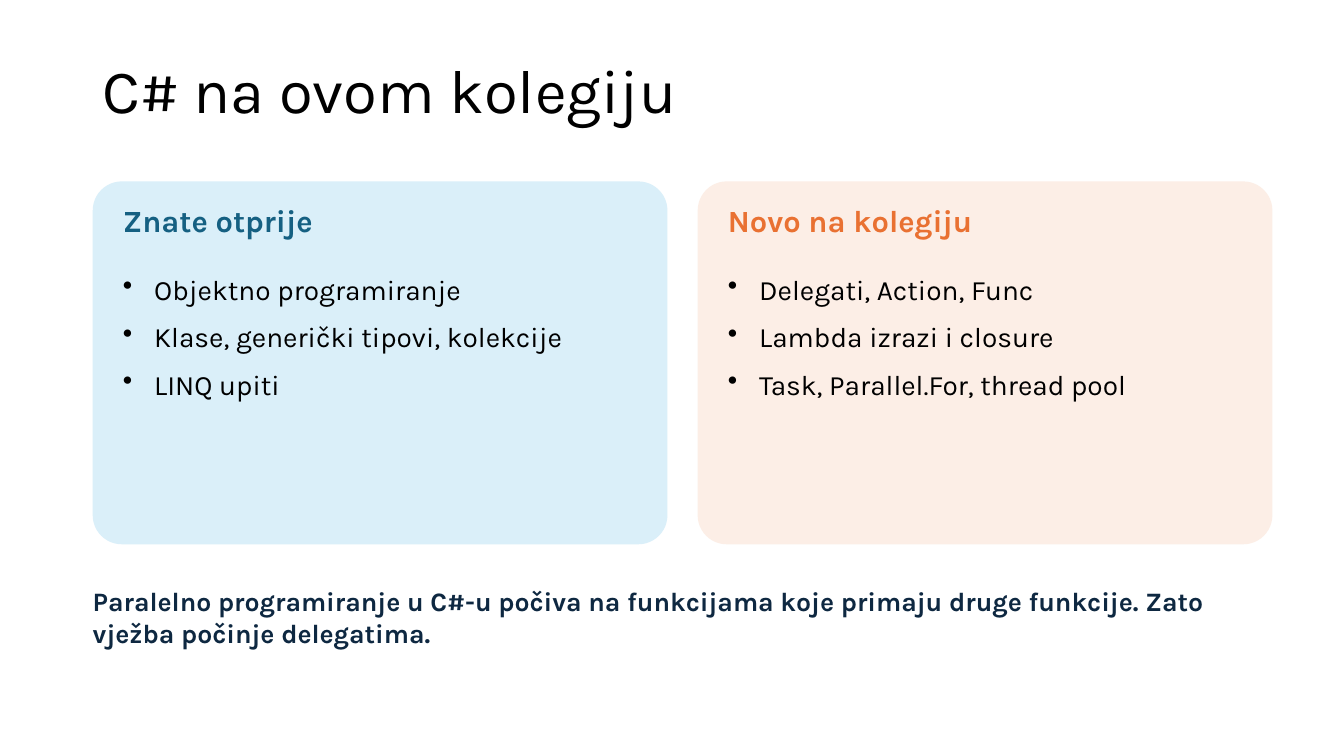
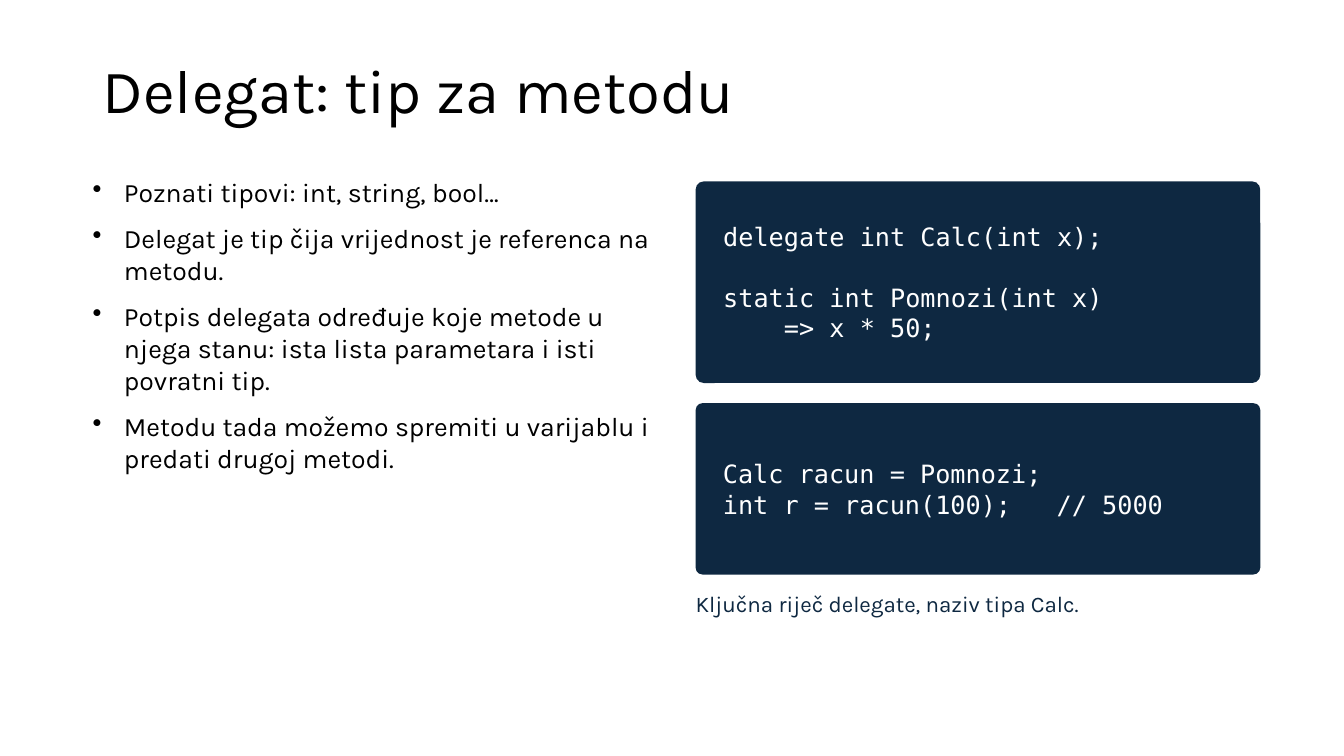
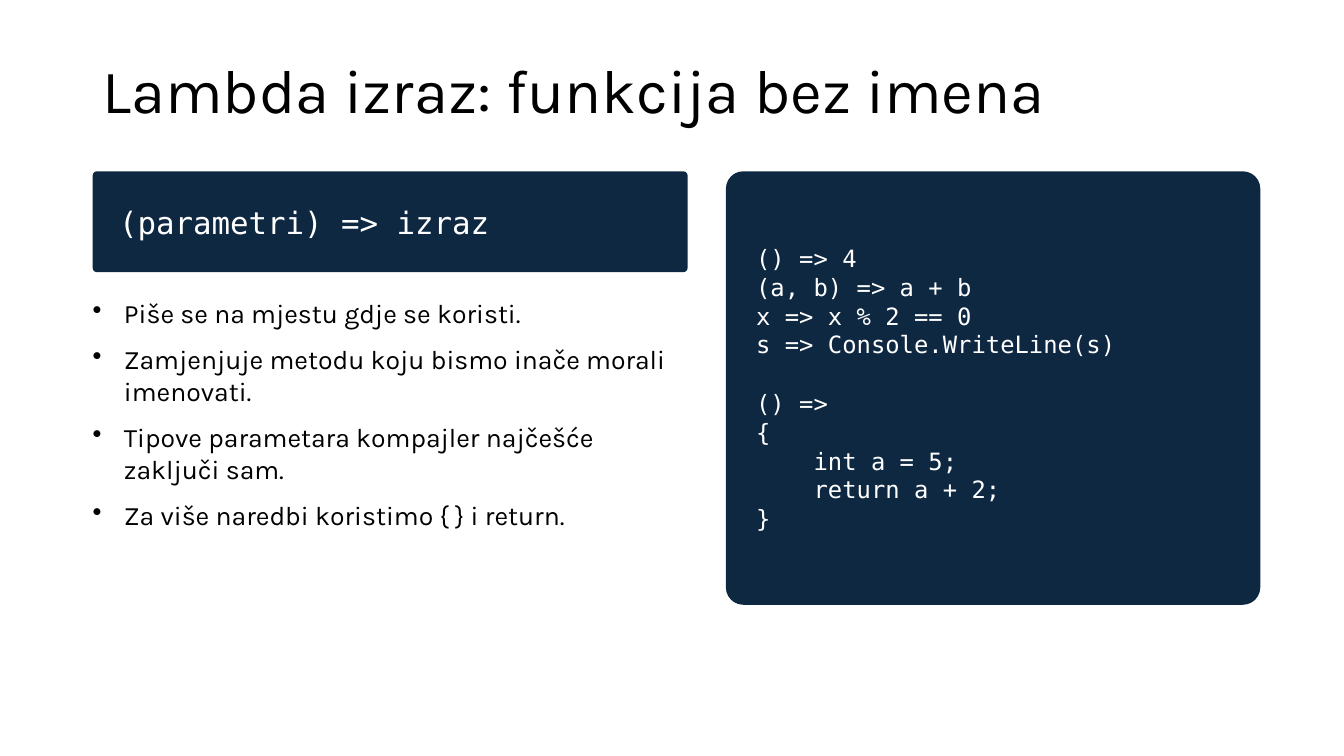
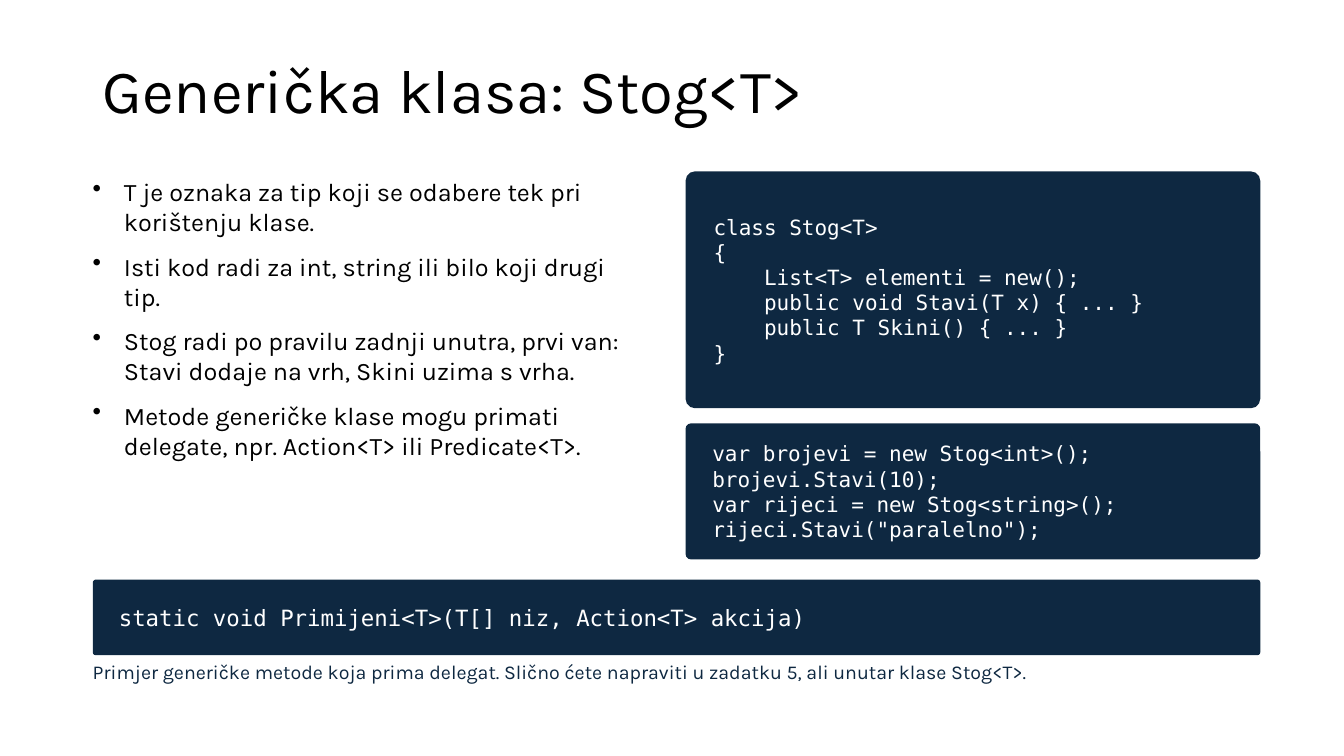
from dataclasses import dataclass

from lxml.etree import SubElement
from pptx import Presentation
from pptx.dml.color import RGBColor
from pptx.enum.shapes import MSO_SHAPE as Shape
from pptx.enum.text import MSO_ANCHOR as Anchor, PP_ALIGN as Align
from pptx.oxml.ns import qn
from pptx.util import Inches, Pt


@dataclass(frozen=True)
class Theme:
    # Fonts
    body_font: str = "Karla"
    code_font: str = "DejaVu Sans Mono"
    # Colours
    black: str = "000000"
    white: str = "FFFFFF"
    navy: str = "0E2841"
    teal: str = "156082"
    orange: str = "E97132"
    pale_blue: str = "DAEFF9"
    pale_orange: str = "FCEEE6"
    # Type sizes in points
    title: int = 44
    heading: int = 22
    card: int = 20
    body: int = 19
    small_body: int = 18
    caption: int = 16
    small_caption: int = 14
    syntax: int = 22
    code: int = 18
    long_code: int = 17
    small_code: int = 15
    signature: int = 16
    # Paragraph spacing in points
    bullet_gap: int = 10
    code_gap: int = 22


@dataclass(frozen=True)
class Box:
    left: float
    top: float
    width: float
    height: float

    def inches(self):
        return [Inches(n) for n in (self.left, self.top, self.width, self.height)]

    def inset(self, side, top, height):
        return Box(self.left + side, self.top + top, self.width - 2 * side, height)


THEME = Theme()
MARGIN = 0.92
INDENT = 0.31
TITLE_BOX = Box(MARGIN, 0.4, 11.5, 1.06)
NO_INSETS = (0, 0, 0, 0)
TITLE_INSETS = (0.1, 0.05, 0.1, 0.05)
CODE_INSETS = (0.25, 0.05, 0.1, 0.05)


def set_all(target, formats):
    for name, value in formats.items():
        setattr(target, name, value)


def prepare_frame(shape, insets, anchor):
    left, top, right, bottom = (Inches(n) for n in insets)
    set_all(shape.text_frame, {
        "word_wrap": True, "vertical_anchor": anchor,
        "margin_left": left, "margin_top": top,
        "margin_right": right, "margin_bottom": bottom,
    })
    return shape.text_frame


def add_para(frame, is_first, text, size, color, font=THEME.body_font, bold=False):
    para = frame.paragraphs[0] if is_first else frame.add_paragraph()
    para.alignment = Align.LEFT
    span = para.add_run()
    span.text = text
    set_all(span.font, {"name": font, "size": Pt(size), "bold": bold})
    span.font.color.rgb = RGBColor.from_string(color)
    return para


def add_text(page, box, text, size, color, bold=False,
             insets=NO_INSETS, anchor=Anchor.TOP):
    frame = prepare_frame(page.shapes.add_textbox(*box.inches()), insets, anchor)
    return add_para(frame, True, text, size, color, bold=bold)


def add_title(page, text):
    para = add_text(page, TITLE_BOX, text, THEME.title, THEME.black,
                    insets=TITLE_INSETS, anchor=Anchor.MIDDLE)
    para.line_spacing = 0.9


def add_bullets(page, box, items, size=THEME.body):
    frame = prepare_frame(page.shapes.add_textbox(*box.inches()), NO_INSETS, Anchor.TOP)
    for index, item in enumerate(items):
        para = add_para(frame, index == 0, item, size, THEME.black)
        properties = para._p.get_or_add_pPr()
        properties.set("marL", str(Inches(INDENT)))
        properties.set("indent", str(-Inches(INDENT)))
        SubElement(properties, qn("a:buChar"), char="•")
        para.space_after = Pt(THEME.bullet_gap)


def add_panel(page, box, color, rounding):
    panel = page.shapes.add_shape(Shape.ROUNDED_RECTANGLE, *box.inches())
    panel.adjustments[0] = rounding
    panel.shadow.inherit = False
    panel.fill.solid()
    panel.fill.fore_color.rgb = RGBColor.from_string(color)
    panel.line.fill.background()
    return panel


def add_code(page, box, code, size):
    """Place a dark code panel; an empty line becomes space before the next."""
    panel = add_panel(page, box, THEME.navy, 0.04)
    frame = prepare_frame(panel, CODE_INSETS, Anchor.MIDDLE)
    after_gap = False
    for index, line in enumerate(code.splitlines()):
        if line:
            para = add_para(frame, index == 0, line, size, THEME.white, THEME.code_font)
            if after_gap:
                para.space_before = Pt(THEME.code_gap)
        after_gap = not line


def add_card(page, box, fill, heading, heading_color, items):
    add_panel(page, box, fill, 0.08)
    add_text(page, box.inset(0.3, 0.2, 0.5), heading,
             THEME.heading, heading_color, bold=True)
    add_bullets(page, box.inset(0.3, 0.9, 2.5), items, THEME.card)


def build_overview(page):
    add_title(page, "C# na ovom kolegiju")
    # Two cards side by side
    cards = [
        (THEME.pale_blue, "Znate otprije", THEME.teal,
         ["Objektno programiranje", "Klase, generički tipovi, kolekcije", "LINQ upiti"]),
        (THEME.pale_orange, "Novo na kolegiju", THEME.orange,
         ["Delegati, Action, Func", "Lambda izrazi i closure",
          "Task, Parallel.For, thread pool"]),
    ]
    width, gap = 5.7, 0.3
    for column, card in enumerate(cards):
        add_card(page, Box(MARGIN + column * (width + gap), 1.8, width, 3.6), *card)
    # Closing statement
    add_text(page, Box(MARGIN, 5.8, 11.6, 0.9),
             "Paralelno programiranje u C#-u počiva na funkcijama koje primaju "
             "druge funkcije. Zato vježba počinje delegatima.",
             THEME.body, THEME.navy, bold=True)


DELEGATE_CODE = """delegate int Calc(int x);

static int Pomnozi(int x)
    => x * 50;"""

CALL_CODE = """Calc racun = Pomnozi;
int r = racun(100);   // 5000"""


def build_delegate(page):
    add_title(page, "Delegat: tip za metodu")
    add_bullets(page, Box(MARGIN, 1.75, 5.6, 4.5), [
        "Poznati tipovi: int, string, bool…",
        "Delegat je tip čija vrijednost je referenca na metodu.",
        "Potpis delegata određuje koje metode u njega stanu: "
        "ista lista parametara i isti povratni tip.",
        "Metodu tada možemo spremiti u varijablu i predati drugoj metodi.",
    ])
    # Declaration, use and caption
    add_code(page, Box(6.9, 1.8, 5.6, 2), DELEGATE_CODE, THEME.code)
    add_code(page, Box(6.9, 4, 5.6, 1.7), CALL_CODE, THEME.code)
    add_text(page, Box(6.9, 5.85, 5.6, 0.8), "Ključna riječ delegate, naziv tipa Calc.",
             THEME.caption, THEME.navy)


LAMBDA_CODE = """() => 4
(a, b) => a + b
x => x % 2 == 0
s => Console.WriteLine(s)

() =>
{
    int a = 5;
    return a + 2;
}"""


def build_lambda(page):
    add_title(page, "Lambda izraz: funkcija bez imena")
    # Syntax and its rules
    add_code(page, Box(MARGIN, 1.7, 5.9, 1), "(parametri) => izraz", THEME.syntax)
    add_bullets(page, Box(MARGIN, 2.95, 5.9, 3.6), [
        "Piše se na mjestu gdje se koristi.",
        "Zamjenjuje metodu koju bismo inače morali imenovati.",
        "Tipove parametara kompajler najčešće zaključi sam.",
        "Za više naredbi koristimo { } i return.",
    ])
    # Examples
    add_code(page, Box(7.2, 1.7, 5.3, 4.3), LAMBDA_CODE, THEME.long_code)


STACK_CODE = """class Stog<T>
{
    List<T> elementi = new();
    public void Stavi(T x) { ... }
    public T Skini() { ... }
}"""

STACK_USE_CODE = """var brojevi = new Stog<int>();
brojevi.Stavi(10);
var rijeci = new Stog<string>();
rijeci.Stavi("paralelno");"""


def build_generic(page):
    add_title(page, "Generička klasa: Stog<T>")
    add_bullets(page, Box(MARGIN, 1.75, 5.5, 4.6), [
        "T je oznaka za tip koji se odabere tek pri korištenju klase.",
        "Isti kod radi za int, string ili bilo koji drugi tip.",
        "Stog radi po pravilu zadnji unutra, prvi van: "
        "Stavi dodaje na vrh, Skini uzima s vrha.",
        "Metode generičke klase mogu primati delegate, "
        "npr. Action<T> ili Predicate<T>.",
    ], THEME.small_body)
    # Class and its use
    add_code(page, Box(6.8, 1.7, 5.7, 2.35), STACK_CODE, THEME.small_code)
    add_code(page, Box(6.8, 4.2, 5.7, 1.35), STACK_USE_CODE, THEME.small_code)
    # Generic method across the page
    add_code(page, Box(MARGIN, 5.75, 11.58, 0.75),
             "static void Primijeni<T>(T[] niz, Action<T> akcija)", THEME.signature)
    add_text(page, Box(MARGIN, 6.55, 11.6, 0.4),
             "Primjer generičke metode koja prima delegat. Slično ćete napraviti "
             "u zadatku 5, ali unutar klase Stog<T>.",
             THEME.small_caption, THEME.navy)


def main():
    deck = Presentation()
    set_all(deck, {"slide_width": Inches(13.33), "slide_height": Inches(7.5)})
    blank = deck.slide_layouts[6]
    for build in (build_overview, build_delegate, build_lambda, build_generic):
        build(deck.slides.add_slide(blank))
    deck.save("out.pptx")


if __name__ == "__main__":
    main()
